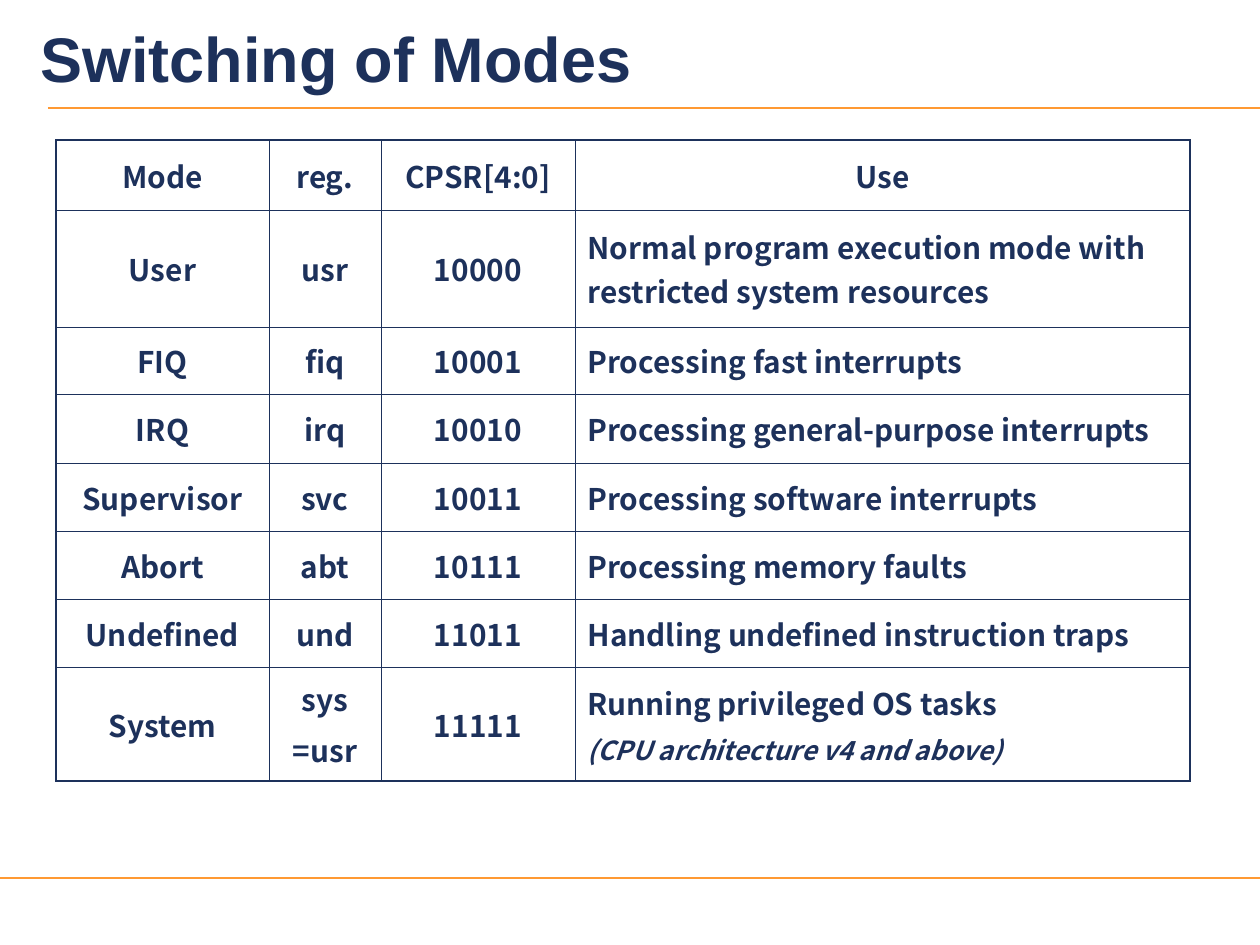
from dataclasses import dataclass

from lxml.etree import SubElement
from pptx import Presentation
from pptx.dml.color import RGBColor
from pptx.enum.shapes import MSO_CONNECTOR as Connector
from pptx.enum.text import MSO_ANCHOR as Anchor, PP_ALIGN as Align
from pptx.oxml.ns import qn
from pptx.util import Emu, Pt

PX_PER_INCH = 126
SLIDE_W, SLIDE_H = 1260, 945


@dataclass(frozen=True)
class Theme:
    ink: str = "1D315B"
    accent: str = "FF9933"
    title_font: str = "Arial"
    body_font: str = "Noto Sans CJK KR"
    title_size: float = 36
    body_size: float = 17
    note_size: float = 15
    paragraph_gap: float = 4.2
    note_gap: float = 3.7
    outer_border: float = 1.08
    inner_border: float = 0.45
    title_rule: float = 1
    footer_rule: float = 1.5


THEME = Theme()

COLUMN_WIDTHS = [213, 112, 194, 615]
ROW_HEIGHTS = [70, 117, 67, 69, 69, 68, 68, 113]
MODES = [
    ("Mode", "reg.", "CPSR[4:0]", "Use"),
    ("User", "usr", "10000",
     "Normal program execution mode with restricted system resources"),
    ("FIQ", "fiq", "10001", "Processing fast interrupts"),
    ("IRQ", "irq", "10010", "Processing general-purpose interrupts"),
    ("Supervisor", "svc", "10011", "Processing software interrupts"),
    ("Abort", "abt", "10111", "Processing memory faults"),
    ("Undefined", "und", "11011", "Handling undefined instruction traps"),
    ("System", "sys\n=usr", "11111",
     "Running privileged OS tasks\n(CPU architecture v4 and above)"),
]


def px(length):
    return Emu(round(length * 914400 / PX_PER_INCH))


def style_font(font, name, size, italic=False):
    font.name = name
    font.size = Pt(size)
    font.bold = True
    if italic:
        font.italic = True
    font.color.rgb = RGBColor.from_string(THEME.ink)


def add_rule(slide, left, y, right, weight):
    rule = slide.shapes.add_connector(
        Connector.STRAIGHT, px(left), px(y), px(right), px(y))
    rule.line.color.rgb = RGBColor.from_string(THEME.accent)
    rule.line.width = Pt(weight)
    SubElement(rule._element.spPr, qn("a:effectLst"))


def add_heading(slide, left, top, width, height):
    heading = slide.shapes.add_textbox(px(left), px(top), px(width), px(height))
    frame = heading.text_frame
    frame.word_wrap = True
    frame.vertical_anchor = Anchor.MIDDLE
    frame.text = "Switching of Modes"
    style_font(frame.paragraphs[0].runs[0].font, THEME.title_font, THEME.title_size)
    add_rule(slide, left + 20, top + 108, left + width, THEME.title_rule)


def set_borders(cell, weights):
    """Draw the left, right, top and bottom borders, in that order."""
    properties = cell._tc.get_or_add_tcPr()
    for side, weight in zip("LRTB", weights):
        border = SubElement(properties, qn(f"a:ln{side}"), w=str(Pt(weight)))
        fill = SubElement(border, qn("a:solidFill"))
        SubElement(fill, qn("a:srgbClr"), val=THEME.ink)


def fill_cell(cell, text, centered):
    cell.vertical_anchor = Anchor.MIDDLE
    cell.fill.background()
    cell.text_frame.text = text
    for index, paragraph in enumerate(cell.text_frame.paragraphs):
        paragraph.alignment = Align.CENTER if centered else Align.LEFT
        is_note = paragraph.text.startswith("(")
        if index > 0:
            paragraph.space_before = Pt(
                THEME.note_gap if is_note else THEME.paragraph_gap)
        size = THEME.note_size if is_note else THEME.body_size
        style_font(paragraph.runs[0].font, THEME.body_font, size, is_note)


def add_mode_table(slide, left, top):
    last_row, last_column = len(MODES) - 1, len(COLUMN_WIDTHS) - 1
    table = slide.shapes.add_table(
        len(MODES), len(COLUMN_WIDTHS), px(left), px(top),
        px(sum(COLUMN_WIDTHS)), px(sum(ROW_HEIGHTS))).table
    table.first_row = table.horz_banding = False
    for column, width in zip(table.columns, COLUMN_WIDTHS):
        column.width = px(width)
    for r, (height, mode) in enumerate(zip(ROW_HEIGHTS, MODES)):
        table.rows[r].height = px(height)
        for c, text in enumerate(mode):
            cell = table.cell(r, c)
            on_edge = (c == 0, c == last_column, r == 0, r == last_row)
            set_borders(cell, [THEME.outer_border if edge else THEME.inner_border
                               for edge in on_edge])
            fill_cell(cell, text, centered=r == 0 or c < last_column)


def main():
    deck = Presentation()
    deck.slide_width, deck.slide_height = px(SLIDE_W), px(SLIDE_H)
    slide = deck.slides.add_slide(deck.slide_layouts[6])
    add_heading(slide, 28, 0, SLIDE_W - 28, 115)
    add_rule(slide, 0, 878, SLIDE_W, THEME.footer_rule)
    add_mode_table(slide, 56, 140)
    deck.save("out.pptx")


if __name__ == "__main__":
    main()
